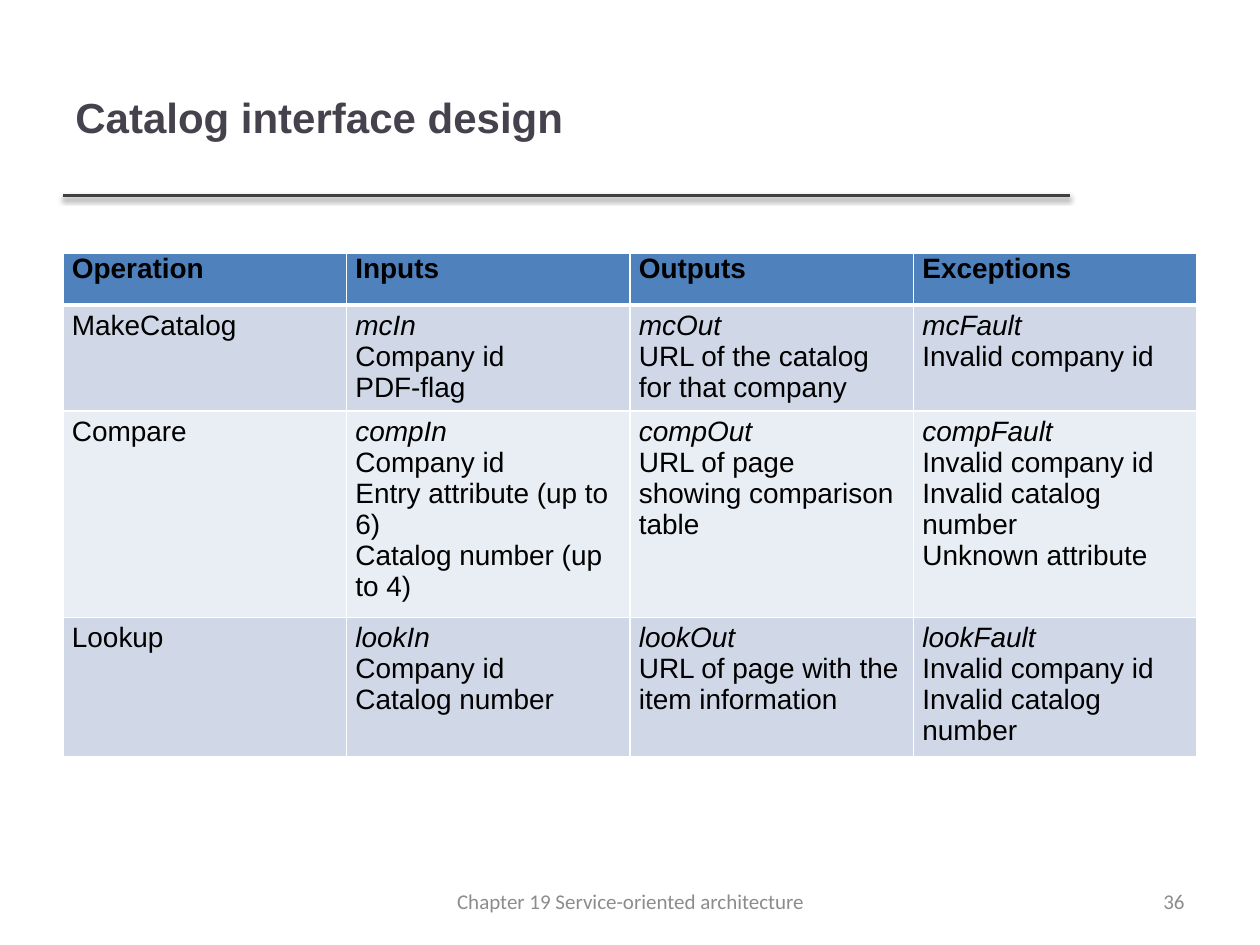
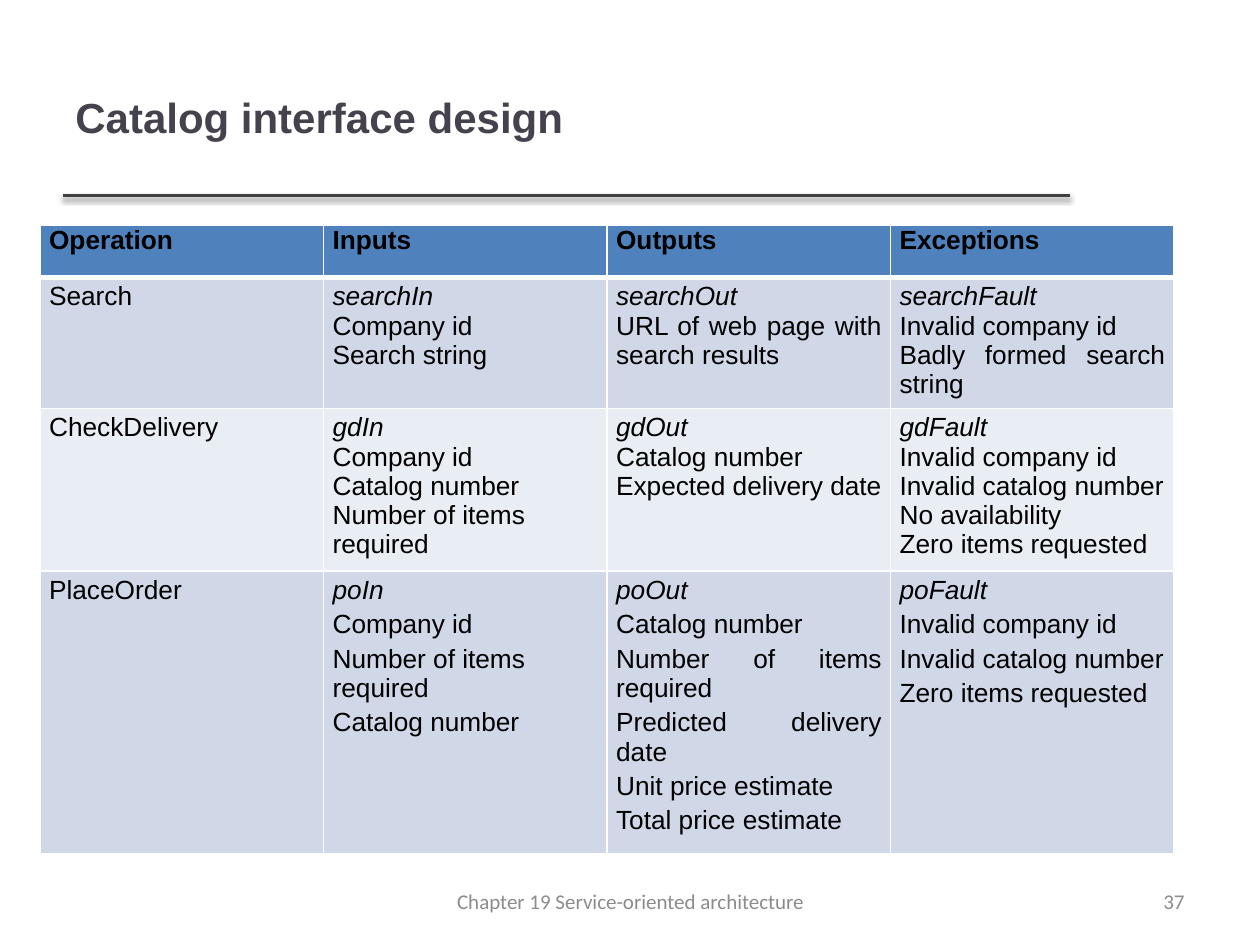
from dataclasses import dataclass

import lxml.etree
import pptx
import pptx.dml.color
import pptx.enum.shapes
import pptx.enum.text
import pptx.oxml.ns
import pptx.util

Cm = pptx.util.Cm
Pt = pptx.util.Pt
ALIGN = pptx.enum.text.PP_ALIGN
qn = pptx.oxml.ns.qn


@dataclass(frozen=True)
class Theme:
    title: str = "46424D"
    rule: str = "404040"
    footer: str = "8C8C8C"
    ink: str = "000000"
    header_fill: str = "4F81BD"
    bands: tuple[str, str] = ("D0D8E8", "E9EDF4")
    border: str = "FFFFFF"
    body_font: str = "Arial"
    footer_font: str = "Calibri"
    title_size: int = 24
    footer_size: int = 12
    thin: int = 1
    thick: int = 3


THEME = Theme()


@dataclass(frozen=True)
class Style:
    font: str
    size: int
    color: str
    bold: bool = False
    italic: bool = False


@dataclass(frozen=True)
class Label:
    left: float
    top: float
    width: float
    height: float
    align: ALIGN
    style: Style


@dataclass(frozen=True)
class Operation:
    name: str
    inputs: tuple[str, ...]
    outputs: tuple[str, ...]
    exceptions: tuple[str, ...]
    height: float
    space_after: int = 0


@dataclass(frozen=True)
class InterfaceSlide:
    number: int
    left: float
    top: float
    size: int
    align: ALIGN
    operations: tuple[Operation, ...]


TITLE = "Catalog interface design"
FOOTER = "Chapter 19 Service-oriented architecture"
HEADINGS = ("Operation", "Inputs", "Outputs", "Exceptions")
INPUTS_COLUMN = HEADINGS.index("Inputs")
TABLE_WIDTH = 22.86
HEADER_HEIGHT = 1.04

FOOTER_STYLE = Style(THEME.footer_font, THEME.footer_size, THEME.footer)
TITLE_LABEL = Label(1.27, 0.76, 20.27, 3.18, ALIGN.LEFT,
                    Style(THEME.body_font, THEME.title_size, THEME.title, bold=True))
NUMBER_LABEL = Label(18.21, 17.65, 5.92, 1.02, ALIGN.RIGHT, FOOTER_STYLE)
FOOTER_LABEL = Label(8.69, 17.65, 8.05, 1.02, ALIGN.CENTER, FOOTER_STYLE)

SLIDES = (
    InterfaceSlide(36, 1.27, 5.11, 16, ALIGN.LEFT, (
        Operation("MakeCatalog",
                  ("mcIn", "Company id", "PDF-flag"),
                  ("mcOut", "URL of the catalog for that company"),
                  ("mcFault", "Invalid company id"), 1.98),
        Operation("Compare",
                  ("compIn", "Company id", "Entry attribute (up to 6)",
                   "Catalog number (up to 4)"),
                  ("compOut", "URL of page showing comparison table"),
                  ("compFault", "Invalid company id", "Invalid catalog number",
                   "Unknown attribute"), 3.86),
        Operation("Lookup",
                  ("lookIn", "Company id", "Catalog number"),
                  ("lookOut", "URL of page with the item information"),
                  ("lookFault", "Invalid company id", "Invalid catalog number"), 2.59),
    )),
    InterfaceSlide(37, 0.81, 4.55, 15, ALIGN.JUSTIFY, (
        Operation("Search",
                  ("searchIn", "Company id", "Search string"),
                  ("searchOut", "URL of web page with search results"),
                  ("searchFault", "Invalid company id", "Badly formed search string"),
                  2.44),
        Operation("CheckDelivery",
                  ("gdIn", "Company id", "Catalog number", "Number of items required"),
                  ("gdOut", "Catalog number", "Expected delivery date"),
                  ("gdFault", "Invalid company id", "Invalid catalog number",
                   "No availability", "Zero items requested"), 3.02),
        Operation("PlaceOrder",
                  ("poIn", "Company id", "Number of items required", "Catalog number"),
                  ("poOut", "Catalog number", "Number of items required",
                   "Predicted delivery date", "Unit price estimate",
                   "Total price estimate"),
                  ("poFault", "Invalid company id", "Invalid catalog number",
                   "Zero items requested"), 5.33, space_after=3),
    )),
)


def rgb(color: str) -> pptx.dml.color.RGBColor:
    return pptx.dml.color.RGBColor.from_string(color)


def add_run(p, text: str, style: Style) -> None:
    r = p.add_run()
    r.text = text
    r.font.name = style.font
    r.font.size = Pt(style.size)
    r.font.bold = style.bold
    r.font.italic = style.italic
    r.font.color.rgb = rgb(style.color)


def add_label(s, label: Label, text: str) -> None:
    sp = s.shapes.add_textbox(Cm(label.left), Cm(label.top),
                              Cm(label.width), Cm(label.height))
    tf = sp.text_frame
    tf.word_wrap = True
    tf.vertical_anchor = pptx.enum.text.MSO_ANCHOR.MIDDLE
    p = tf.paragraphs[0]
    p.alignment = label.align
    add_run(p, text, label.style)


def add_title_rule(s) -> None:
    sp = s.shapes.add_connector(pptx.enum.shapes.MSO_CONNECTOR.STRAIGHT,
                                Cm(1.27), Cm(3.94), Cm(21.56), Cm(3.94))
    sp.line.color.rgb = rgb(THEME.rule)
    sp.line.width = Pt(2)
    effects = lxml.etree.SubElement(sp._element.spPr, qn("a:effectLst"))
    shadow = lxml.etree.SubElement(
        effects, qn("a:outerShdw"), blurRad=str(Pt(3.1)), dist=str(Pt(1.6)),
        dir="5400000", rotWithShape="0")
    color = lxml.etree.SubElement(shadow, qn("a:srgbClr"), val=THEME.ink)
    lxml.etree.SubElement(color, qn("a:alpha"), val="38000")


def set_borders(cell, top: int, bottom: int) -> None:
    tc_pr = cell._tc.get_or_add_tcPr()
    widths = {"a:lnL": THEME.thin, "a:lnR": THEME.thin, "a:lnT": top, "a:lnB": bottom}
    for i, (tag, width) in enumerate(widths.items()):
        ln = lxml.etree.Element(qn(tag), w=str(Pt(width)))
        fill = lxml.etree.SubElement(ln, qn("a:solidFill"))
        lxml.etree.SubElement(fill, qn("a:srgbClr"), val=THEME.border)
        tc_pr.insert(i, ln)


def format_cell(cell, fill: str, margin_top: float, top: int, bottom: int) -> None:
    cell.margin_left = cell.margin_right = Cm(0.18)
    cell.margin_top = Cm(margin_top)
    cell.margin_bottom = Cm(0)
    cell.fill.solid()
    cell.fill.fore_color.rgb = rgb(fill)
    set_borders(cell, top, bottom)


def write_cell(cell, lines: tuple[str, ...], styles: list[Style], align: ALIGN,
               before: int, after: int) -> None:
    tf = cell.text_frame
    for i, (text, style) in enumerate(zip(lines, styles)):
        p = tf.add_paragraph() if i else tf.paragraphs[0]
        p.alignment = align
        p.space_before = Pt(before)
        p.space_after = Pt(after)
        add_run(p, text, style)


def add_interface_table(s, page: InterfaceSlide) -> None:
    heights = [HEADER_HEIGHT] + [op.height for op in page.operations]
    table = s.shapes.add_table(len(heights), len(HEADINGS), Cm(page.left), Cm(page.top),
                               Cm(TABLE_WIDTH), Cm(sum(heights))).table
    table.horz_banding = False
    for row, height in zip(table.rows, heights):
        row.height = Cm(height)

    plain = Style(THEME.body_font, page.size, THEME.ink)
    bold = Style(THEME.body_font, page.size, THEME.ink, bold=True)
    message = Style(THEME.body_font, page.size, THEME.ink, italic=True)

    for col, heading in enumerate(HEADINGS):
        cell = table.cell(0, col)
        format_cell(cell, THEME.header_fill, 0, THEME.thin, THEME.thick)
        align = ALIGN.LEFT if col == INPUTS_COLUMN else ALIGN.JUSTIFY
        write_cell(cell, (heading,), [bold], align, 3, 3)

    for i, op in enumerate(page.operations):
        columns = ((op.name,), op.inputs, op.outputs, op.exceptions)
        for col, lines in enumerate(columns):
            cell = table.cell(i + 1, col)
            top = THEME.thin if i else THEME.thick
            format_cell(cell, THEME.bands[i % 2], 0.1, top, THEME.thin)
            first = message if col else plain
            align = ALIGN.LEFT if col == INPUTS_COLUMN else page.align
            write_cell(cell, lines, [first] + [plain] * (len(lines) - 1),
                       align, 0, op.space_after)


def add_interface_slide(prs, page: InterfaceSlide) -> None:
    s = prs.slides.add_slide(prs.slide_layouts[6])
    add_title_rule(s)
    add_label(s, TITLE_LABEL, TITLE)
    add_interface_table(s, page)
    add_label(s, NUMBER_LABEL, str(page.number))
    add_label(s, FOOTER_LABEL, FOOTER)


def main() -> None:
    prs = pptx.Presentation()
    prs.slide_width = Cm(25.4)
    prs.slide_height = Cm(19.05)
    for page in SLIDES:
        add_interface_slide(prs, page)
    prs.save("out.pptx")


if __name__ == "__main__":
    main()
